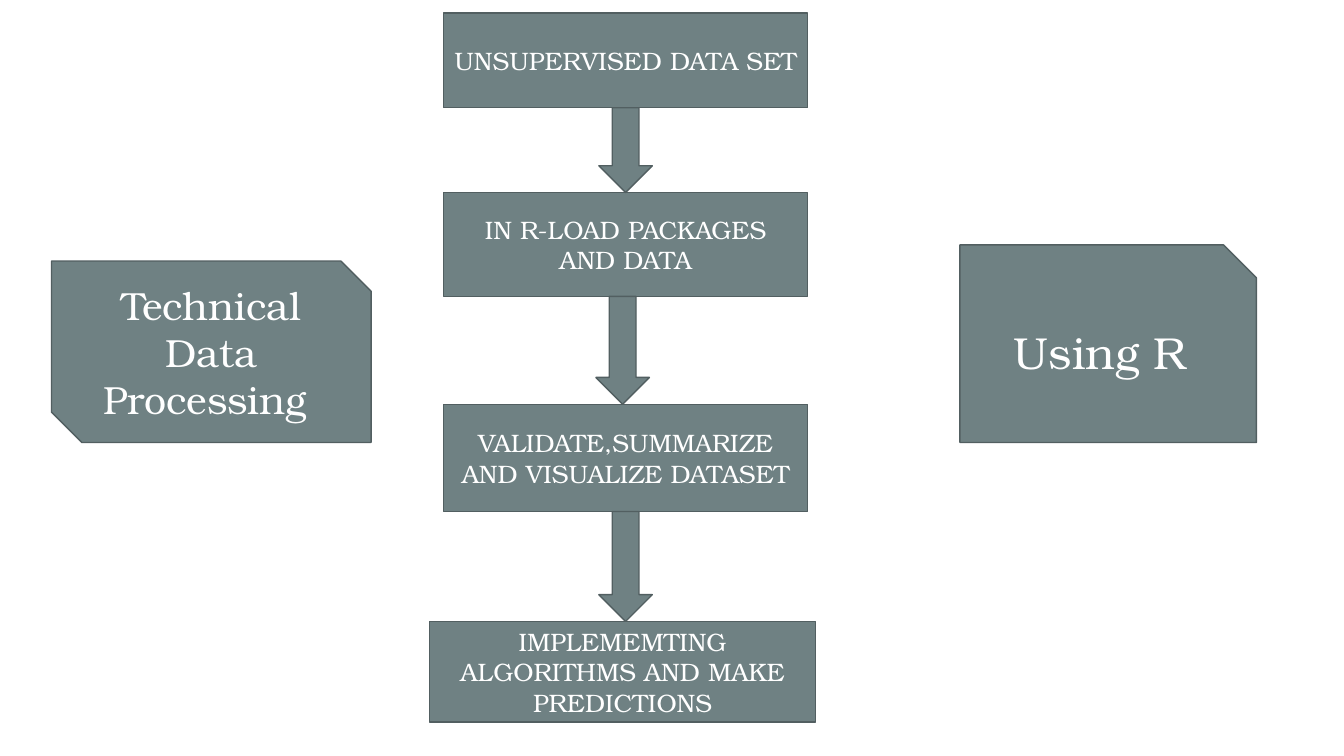
from pptx import Presentation, util as u
from pptx.dml.color import RGBColor
from pptx.enum import shapes, text

FONT = "TeX Gyre Bonum"
FILL, EDGE, INK = "6F8183", "525F61", "FFFFFF"
WIDTH, HEIGHT = u.Inches(13.33), u.Inches(7.5)
ARROW_WIDTH = 3.98

# Process steps: wording, then left, top, width, height in percent of the slide
STEPS = [
    ("UNSUPERVISED DATA SET", (33, 1.73, 27.1, 12.53)),
    ("IN R-LOAD PACKAGES AND DATA", (33, 25.47, 27.1, 13.73)),
    ("VALIDATE,SUMMARIZE AND VISUALIZE DATASET", (33, 53.47, 27.1, 14.2)),
    ("IMPLEMEMTING ALGORITHMS AND MAKE PREDICTIONS", (31.95, 82.2, 28.75, 13.33)),
]
# Left edge of the arrow below each step but the last
ARROW_LEFTS = [44.56, 44.34, 44.56]


def colour(hex_code):
    return RGBColor.from_string(hex_code)


def add_figure(page, preset, area):
    """Add a filled, outlined shape; area is in percent of the slide."""
    left, top, width, height = area
    figure = page.shapes.add_shape(
        preset,
        int(WIDTH * left / 100), int(HEIGHT * top / 100),
        int(WIDTH * width / 100), int(HEIGHT * height / 100))
    figure.shadow.inherit = False
    figure.fill.solid()
    figure.fill.fore_color.rgb = colour(FILL)
    figure.line.color.rgb = colour(EDGE)
    figure.line.width = u.Pt(1)
    return figure


def add_label(page, preset, area, wording, size):
    """Add a shape with centred text."""
    frame = add_figure(page, preset, area).text_frame
    frame.text = wording
    frame.word_wrap = True
    frame.vertical_anchor = text.MSO_ANCHOR.MIDDLE
    para = frame.paragraphs[0]
    para.alignment = text.PP_ALIGN.CENTER
    for span in para.runs:
        span.font.name = FONT
        span.font.size = u.Pt(size)
        span.font.color.rgb = colour(INK)


def add_flow(page):
    """Add the steps, with arrows that fill the gaps between them."""
    preset = shapes.MSO_SHAPE
    for wording, area in STEPS:
        add_label(page, preset.RECTANGLE, area, wording, 18)
    for (_, upper), (_, lower), left in zip(STEPS, STEPS[1:], ARROW_LEFTS):
        start = upper[1] + upper[3]
        add_figure(page, preset.DOWN_ARROW,
                   (left, start, ARROW_WIDTH, lower[1] - start))


def main():
    deck = Presentation()
    deck.slide_width, deck.slide_height = WIDTH, HEIGHT
    page = deck.slides.add_slide(deck.slide_layouts[6])

    # Central process
    add_flow(page)

    # Side labels
    preset = shapes.MSO_SHAPE
    add_label(page, preset.SNIP_1_RECTANGLE, (71.42, 32.4, 22.06, 26.13),
              "Using R", 32)
    add_label(page, preset.SNIP_2_DIAG_RECTANGLE, (3.83, 34.53, 23.78, 24),
              "Technical Data Processing ", 28)

    deck.save("out.pptx")


if __name__ == "__main__":
    main()
